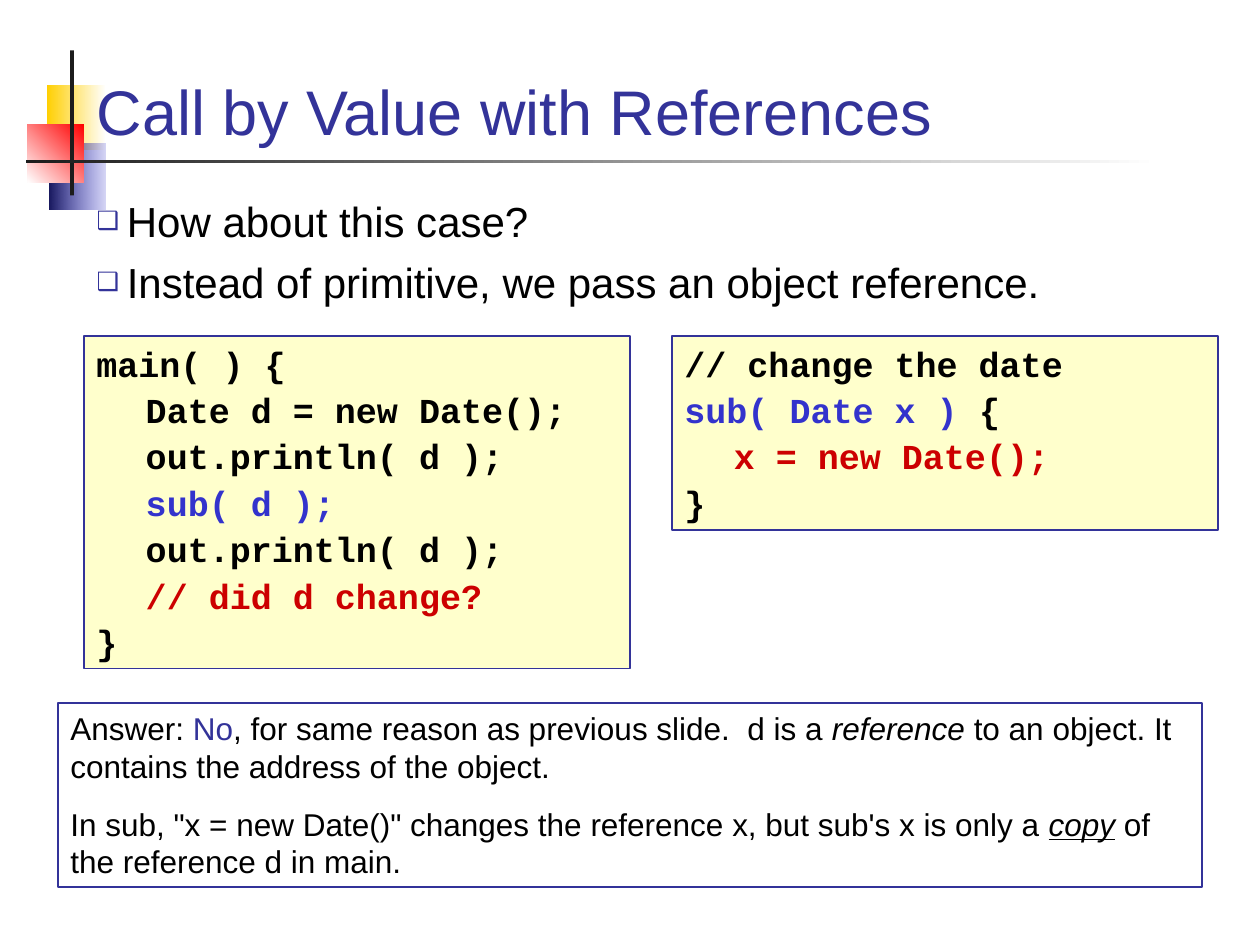
import pptx
import pptx.util
import pptx.oxml
import pptx.oxml.ns
from pptx.dml.color import RGBColor
from pptx.enum.shapes import MSO_SHAPE
from pptx.enum.text import MSO_ANCHOR, MSO_AUTO_SIZE, PP_ALIGN

Pt = pptx.util.Pt
HUES = {
    "navy": "333399", "blue": "3333CC", "deep": "17175E", "red": "CC0000",
    "flame": "FF0000", "gold": "FFCF01", "cream": "FFFFCC",
    "white": "FFFFFF", "black": "000000", "coal": "1C1C1C",
}

TITLE = "Call by Value with References"
POINTS = ["How about this case?",
          "Instead of primitive, we pass an object reference."]
MAIN = [
    [("main( ) {", "")],
    [("\tDate d = new Date();", "")],
    [("\tout.println( d );", "")],
    [("\t", ""), ("sub( d );", "blue")],
    [("\tout.println( d );", "")],
    [("\t", ""), ("// did d change?", "red")],
    [("}", "")],
]
SUB = [
    [("// change the date", "")],
    [("sub( Date x )", "blue"), (" {", "")],
    [("\t", ""), ("x = new Date();", "red")],
    [("}", "")],
]
ANSWER = [
    [("Answer: ", ""), ("No", "navy"),
     (", for same reason as previous slide.  d is a ", ""),
     ("reference", "italic"),
     (" to an object. It contains the address of the object.", "")],
    [('In sub, "x = new Date()" changes the reference x, '
      "but sub's x is only a ", ""),
     ("copy", "italic under"), (" of the reference d in main.", "")],
]
DECOR = [
    ((26.8, 48.4, 33.8, 37.4), ("white", "gold"), 180, None),
    ((28.1, 82.1, 32.4, 37.4), ("blue", "deep"), 180, 20),
    ((15.6, 71.1, 32.4, 33.1), ("flame", "white"), 225, None),
    ((40.1, 28.8, 2.2, 82.8), ("coal",), 0, None),
    ((15.1, 91.2, 647.3, 2.2), ("white", "coal"), 180, None),
]
CODE = {"name": "Courier New", "size": 20, "bold": True, "gap": 2.5}
PROSE = {"name": "Arial", "size": 18, "bold": False, "gap": 11.2}
LIST = {**PROSE, "size": 24, "gap": 6}
HEAD = {**PROSE, "size": 36, "gap": 0}
BOXES = [
    ((48, 192, 312, 190.1), "cream", MAIN, CODE),
    ((384, 192, 312, 110.9), "cream", SUB, CODE),
    ((33.1, 401.8, 653.8, 105.1), None, ANSWER, PROSE),
]


def hue(key):
    return RGBColor.from_string(HUES[key])


def add(parent, tag, **vals):
    child = parent.makeelement(pptx.oxml.ns.qn(tag), vals)
    parent.append(child)
    return child


def bullet(para):
    props = para._p.get_or_add_pPr()
    props.set("marL", str(Pt(17.3)))
    props.set("indent", str(-Pt(17.3)))
    add(add(props, "a:buClr"), "a:srgbClr", val=HUES["navy"])
    add(props, "a:buSzPct", val="60000")
    add(props, "a:buChar", char="❑")


def tab(para):
    tabs = add(para._p.get_or_add_pPr(), "a:tabLst")
    add(tabs, "a:tab", pos=str(Pt(28.2)), algn="l")


def write(frame, rows, style, tint="black", mark=None):
    frame.word_wrap = True
    frame.auto_size = MSO_AUTO_SIZE.NONE
    for i, row in enumerate(rows):
        para = frame.add_paragraph() if i else frame.paragraphs[0]
        para.alignment = PP_ALIGN.LEFT
        para.line_spacing = 1.0
        para.space_before = Pt(style["gap"] if i else 0)
        if mark:
            mark(para)
        font = para.font
        font.name = style["name"]
        font.size = Pt(style["size"])
        font.bold = style["bold"]
        font.color.rgb = hue(tint)
        for text, look in row:
            run = para.add_run()
            run.text = text
            if look in HUES:
                run.font.color.rgb = hue(look)
            if "italic" in look:
                run.font.italic = True
            if "under" in look:
                run.font.underline = True


def place(shape, spot):
    shape.left, shape.top, shape.width, shape.height = map(Pt, spot)


def block(slide, spot):
    shape = slide.shapes.add_shape(MSO_SHAPE.RECTANGLE, *map(Pt, spot))
    shape.shadow.inherit = False
    return shape


def decorate(slide):
    for spot, tints, angle, alpha in DECOR:
        shape = block(slide, spot)
        shape.line.fill.background()
        fill = shape.fill
        if len(tints) == 1:
            fill.solid()
            fill.fore_color.rgb = hue(tints[0])
            continue
        fill.gradient()
        fill.gradient_angle = angle
        for stop, tint in zip(fill.gradient_stops, tints):
            stop.color.rgb = hue(tint)
        if alpha:
            first = next(shape._element.iter(pptx.oxml.ns.qn("a:srgbClr")))
            add(first, "a:alpha", val=str(alpha * 1000))


def main():
    deck = pptx.Presentation()
    deck.slide_width, deck.slide_height = Pt(720), Pt(540)
    slide = deck.slides.add_slide(deck.slide_layouts[1])
    decorate(slide)

    title, body = slide.placeholders
    for holder in (title, body):
        slide.shapes._spTree.append(holder._element)
    place(title, (48, 20, 624, 68.4))
    title.text_frame.vertical_anchor = MSO_ANCHOR.BOTTOM
    write(title.text_frame, [[(TITLE, "")]], HEAD, "navy")
    place(body, (48, 108, 624, 84))
    write(body.text_frame, [[(point, "")] for point in POINTS], LIST, mark=bullet)

    for spot, tint, rows, style in BOXES:
        shape = block(slide, spot)
        if tint:
            shape.fill.solid()
            shape.fill.fore_color.rgb = hue(tint)
        else:
            shape.fill.background()
        shape.line.color.rgb = hue("navy")
        shape.line.width = Pt(0.75)
        shape.text_frame.vertical_anchor = MSO_ANCHOR.TOP
        write(shape.text_frame, rows, style, mark=tab)

    deck.save("out.pptx")


if __name__ == "__main__":
    main()
